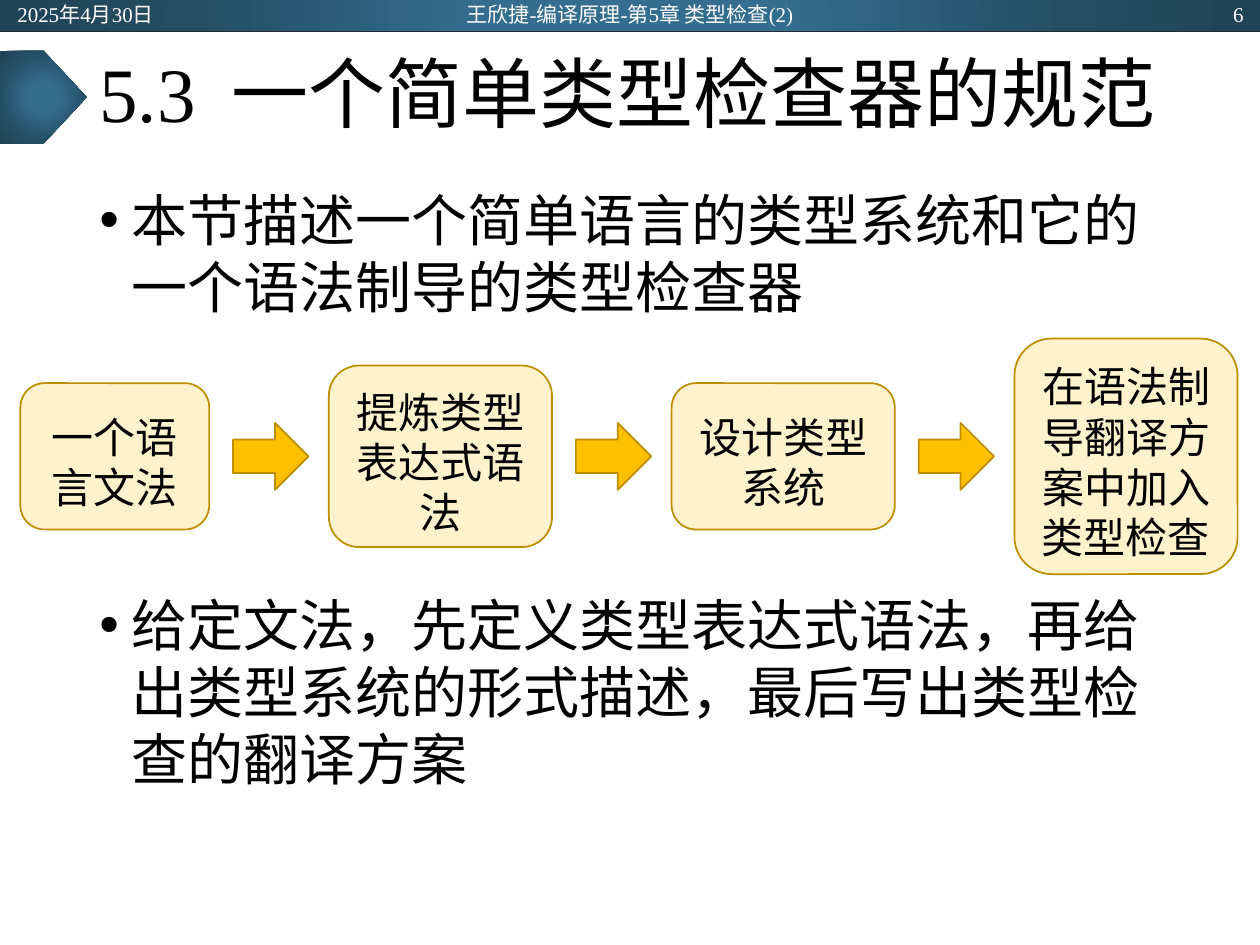
"""Build the slide that introduces the specification of a simple type checker."""
from lxml import etree
from pptx import Presentation
from pptx import util as u
from pptx.dml.color import RGBColor
from pptx.enum import shapes, text
from pptx.oxml import parse_xml
from pptx.oxml.ns import nsdecls, qn

BLACK = RGBColor(0x00, 0x00, 0x00)
WHITE = RGBColor(0xFF, 0xFF, 0xFF)
NAVY = RGBColor(0x22, 0x2A, 0x35)
CREAM = RGBColor(0xFF, 0xF2, 0xCC)
GOLD = RGBColor(0xFF, 0xC0, 0x00)
OCHRE = RGBColor(0xBD, 0x8E, 0x00)
BLUE = RGBColor(0x34, 0x6D, 0x8E)
DEEP_BLUE = RGBColor(0x25, 0x4E, 0x64)
DARK_BLUE = RGBColor(0x20, 0x44, 0x57)
GLOW = [(0, BLUE), (23, BLUE), (69, DEEP_BLUE), (97, DARK_BLUE)]

LATIN_FONT = "Times New Roman"
CHINESE_FONT = "Noto Sans CJK SC"

TITLE = "5.3\t一个简单类型检查器的规范"
BULLETS = [
    ("本节描述一个简单语言的类型系统和它的一个语法制导的类型检查器", 0),
    ("给定文法，先定义类型表达式语法，再给出类型系统的形式描述，最后写出类型检查的翻译方案", 155),
]
STEPS = [
    ("一个语言文法", 3.81, 2.95),
    ("提炼类型表达式语法", 4.5, 3.66),
    ("设计类型系统", 4.5, 2.95),
    ("在语法制导翻译方案中加入类型检查", 4.5, 4.75),
]
STEP_PITCH = 6.91
FLOW_MIDDLE = 9.2
HEADER = [
    ("2025年4月30日", 0.1, 5.72, text.PP_ALIGN.LEFT),
    ("王欣捷-编译原理-第5章 类型检查(2)", 8.41, 8.58, text.PP_ALIGN.CENTER),
    ("6", 19.6, 5.72, text.PP_ALIGN.RIGHT),
]


def place(box, left, top, width, height):
    """Move and size a box, in centimetres."""
    box.left, box.top = u.Cm(left), u.Cm(top)
    box.width, box.height = u.Cm(width), u.Cm(height)


def format_spans(para, size, color):
    """Give every span of a paragraph its fonts, size and colour."""
    for span in para.runs:
        span.font.name = LATIN_FONT
        span.font.size = u.Pt(size)
        span.font.color.rgb = color
        latin = span.font._element.find(qn("a:latin"))
        latin.addnext(etree.Element(qn("a:ea"), typeface=CHINESE_FONT))


def add_glowing_shape(page, kind, left, top, width, height):
    """Add a borderless shape with a radial blue gradient."""
    shape = page.shapes.add_shape(kind, u.Cm(left), u.Cm(top), u.Cm(width), u.Cm(height))
    shape.shadow.inherit = False
    shape.line.fill.background()
    stops = "".join(
        f'<a:gs pos="{position * 1000}"><a:srgbClr val="{color}"/></a:gs>'
        for position, color in GLOW
    )
    gradient = parse_xml(
        f'<a:gradFill {nsdecls("a")} rotWithShape="1"><a:gsLst>{stops}</a:gsLst>'
        '<a:path path="circle"><a:fillToRect l="50000" t="50000" r="50000" b="50000"/>'
        "</a:path></a:gradFill>"
    )
    shape._element.spPr.find(qn("a:prstGeom")).addnext(gradient)


def add_header_rule(page):
    """Draw the thin line under the header band."""
    rule = page.shapes.add_connector(
        shapes.MSO_CONNECTOR.STRAIGHT, 0, u.Cm(0.64), u.Cm(25.4), u.Cm(0.64)
    )
    rule.line.color.rgb = NAVY
    rule.line.width = u.Pt(0.5)
    etree.SubElement(rule._element.spPr, qn("a:effectLst"))


def add_header_text(page, words, left, width, align):
    """Add one white label to the header band."""
    box = page.shapes.add_textbox(u.Cm(left), u.Cm(0.03), u.Cm(width), u.Cm(0.51))
    frame = box.text_frame
    frame.word_wrap = True
    frame.vertical_anchor = text.MSO_ANCHOR.MIDDLE
    frame.margin_top = frame.margin_bottom = 0
    frame.text = words
    para = frame.paragraphs[0]
    para.alignment = align
    format_spans(para, 12, WHITE)


def fill_title(title):
    """Write the heading, with a tab after its section number."""
    place(title, 1.75, 0.64, 21.9, 2.64)
    frame = title.text_frame
    frame.auto_size = text.MSO_AUTO_SIZE.NONE
    frame.vertical_anchor = text.MSO_ANCHOR.MIDDLE
    frame.text = TITLE
    para = frame.paragraphs[0]
    tabs = etree.SubElement(para._p.get_or_add_pPr(), qn("a:tabLst"))
    etree.SubElement(tabs, qn("a:tab"), pos=str(u.Cm(2.67)), algn="l")
    para.alignment = text.PP_ALIGN.LEFT
    para.line_spacing = 0.9
    format_spans(para, 44, BLACK)


def fill_body(body):
    """Write the bullets, leaving room between them for the flow."""
    place(body, 1.75, 3.51, 21.9, 13.67)
    frame = body.text_frame
    frame.auto_size = text.MSO_AUTO_SIZE.NONE
    frame.margin_top = u.Cm(0.23)
    frame.text = "\n".join(words for words, _ in BULLETS)
    for para, (_, gap) in zip(frame.paragraphs, BULLETS):
        properties = para._p.get_or_add_pPr()
        properties.set("marL", str(u.Cm(0.64)))
        properties.set("indent", str(u.Cm(-0.64)))
        etree.SubElement(properties, qn("a:buFont"), typeface="Arial")
        etree.SubElement(properties, qn("a:buChar"), char="•")
        para.line_spacing = u.Pt(38.3)
        para.space_before = u.Pt(gap)
        format_spans(para, 32, BLACK)


def add_flow_shape(group, kind, left, width, height, color):
    """Add an outlined shape centred on the middle line of the flow."""
    top = FLOW_MIDDLE - height / 2
    shape = group.shapes.add_shape(kind, u.Cm(left), u.Cm(top), u.Cm(width), u.Cm(height))
    shape.shadow.inherit = False
    shape.fill.solid()
    shape.fill.fore_color.rgb = color
    shape.line.color.rgb = OCHRE
    shape.line.width = u.Pt(1)
    return shape


def add_step(group, words, right, width, height):
    """Add one rounded step that ends at the given right edge."""
    step = add_flow_shape(
        group, shapes.MSO_SHAPE.ROUNDED_RECTANGLE, right - width, width, height, CREAM
    )
    frame = step.text_frame
    frame.word_wrap = True
    frame.vertical_anchor = text.MSO_ANCHOR.MIDDLE
    frame.margin_top = u.Cm(0.33)
    frame.text = words
    para = frame.paragraphs[0]
    para.alignment = text.PP_ALIGN.CENTER
    para.line_spacing = u.Pt(28.6)
    format_spans(para, 24, BLACK)


def add_flow(page):
    """Add the steps in a group, with an arrow between neighbours."""
    group = page.shapes.add_group_shape()
    for index, (words, width, height) in enumerate(STEPS):
        offset = index * STEP_PITCH
        add_step(group, words, 4.22 + offset, width, height)
        if index < len(STEPS) - 1:
            add_flow_shape(
                group, shapes.MSO_SHAPE.RIGHT_ARROW, 4.7 + offset, 1.52, 1.35, GOLD
            )


def main():
    """Build the deck and save it."""
    deck = Presentation()
    deck.slide_width, deck.slide_height = u.Cm(25.4), u.Cm(19.05)
    page = deck.slides.add_slide(deck.slide_layouts[1])
    add_glowing_shape(page, shapes.MSO_SHAPE.RECTANGLE, 0, 0, 25.4, 0.64)
    add_header_rule(page)
    add_glowing_shape(page, shapes.MSO_SHAPE.PENTAGON, 0, 1.02, 1.75, 1.88)
    fill_title(page.shapes.title)
    fill_body(page.placeholders[1])
    add_flow(page)
    for label in HEADER:
        add_header_text(page, *label)
    deck.save("out.pptx")


if __name__ == "__main__":
    main()
